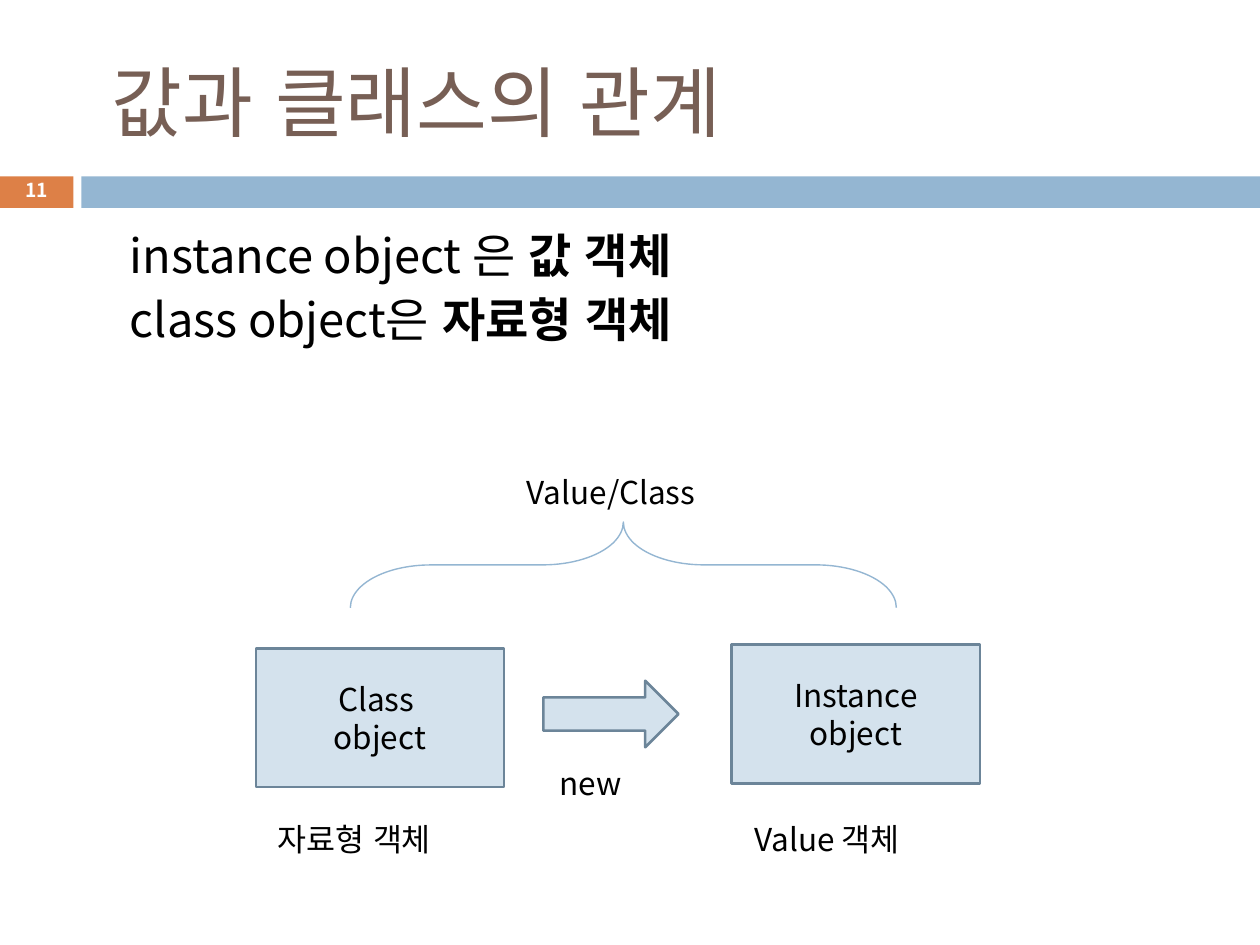
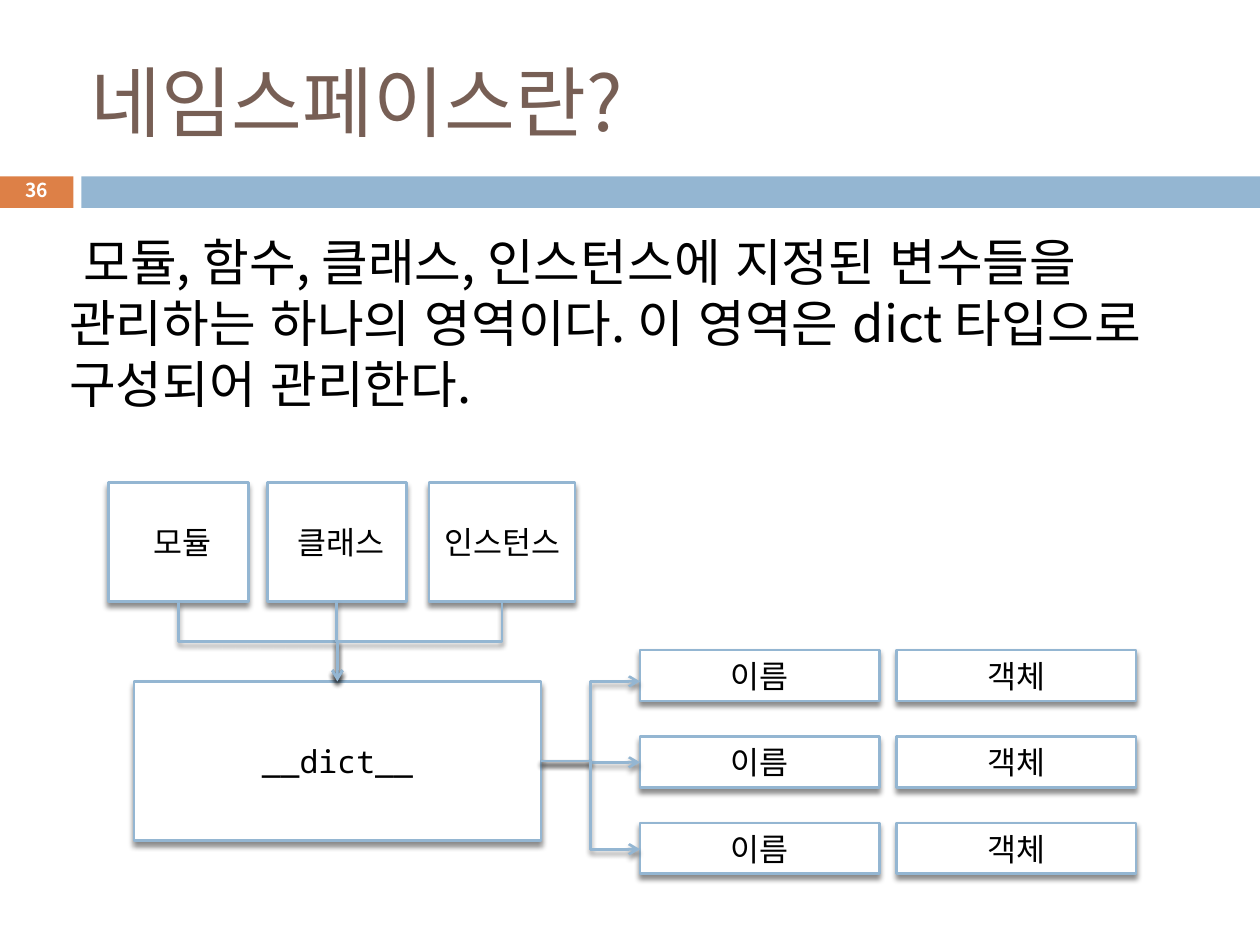
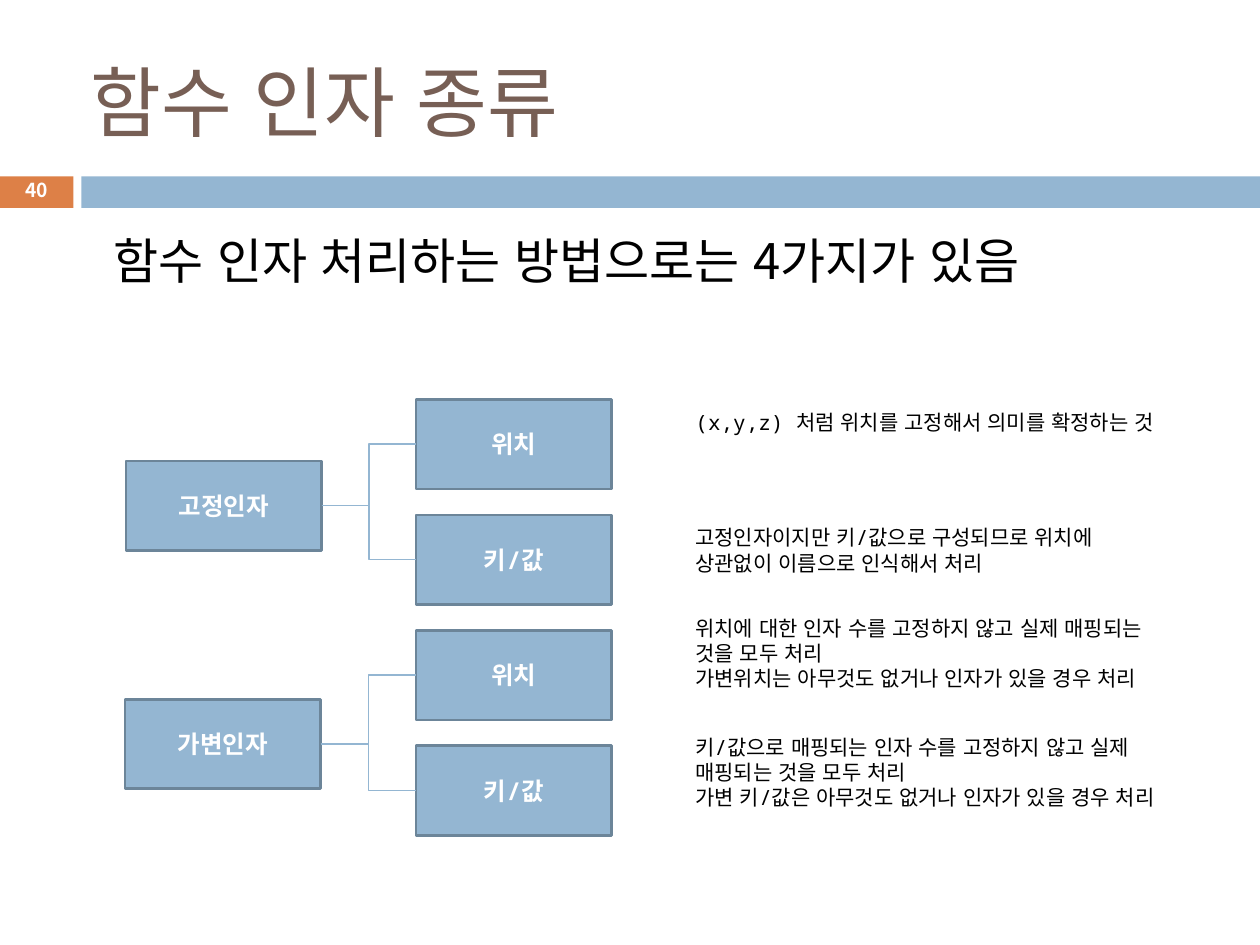
from lxml import etree
from pptx import Presentation
from pptx.dml import color
from pptx.enum import lang, shapes, text
from pptx.oxml import ns
from pptx.util import Pt

BLUE, ORANGE, BROWN = "94B6D2", "DD8047", "775F55"
PALE, EDGE, WHITE, BLACK = "D4E2ED", "6C8599", "FFFFFF", "000000"
SANS, MONO = "Noto Sans CJK KR", "Noto Sans Mono"
RECT = shapes.MSO_SHAPE.RECTANGLE
LEFT, MID = text.PP_ALIGN.LEFT, text.PP_ALIGN.CENTER
TOP, HALF = text.MSO_ANCHOR.TOP, text.MSO_ANCHOR.MIDDLE


def paint(target, code):
    target.rgb = color.RGBColor.from_string(code)


def sub(parent, tag, **attrs):
    return etree.SubElement(parent, ns.qn(tag), attrs)


def shade(effects):
    shadow = sub(effects, "a:outerShdw", blurRad="38100", dist="30480",
                 dir="5400000", rotWithShape="0")
    tint = sub(shadow, "a:srgbClr", val=BLACK)
    sub(tint, "a:alpha", val="45000")


def style(run, size, font, ink, bold):
    face = run.font
    face.size, face.name, face.bold = Pt(size), font, bold
    face.language_id = lang.MSO_LANGUAGE_ID.KOREAN
    paint(face.color, ink)


def write(shape, words, size, font=SANS, ink=BLACK, bold=False,
          align=LEFT, anchor=TOP, before=0, indent=0):
    frame = shape.text_frame
    frame.word_wrap = True
    frame.vertical_anchor = anchor
    frame.margin_left = frame.margin_right = Pt(3.6)
    frame.margin_top = frame.margin_bottom = Pt(3.6)
    frame.text = words
    for para in frame.paragraphs:
        para.alignment = align
        para.space_before = Pt(before)
        if indent:
            props = para._p.get_or_add_pPr()
            props.set("marL", str(Pt(indent)))
            props.set("indent", "0")
        for run in para.runs:
            style(run, size, font, ink, bold)
    return frame


def label(slide, at, words, size, **look):
    box = slide.shapes.add_textbox(*map(Pt, at))
    return write(box, words, size, **look)


def block(slide, at, fill, line=None, kind=RECT, shadow=False):
    shape = slide.shapes.add_shape(kind, *map(Pt, at))
    shape.shadow.inherit = False
    if fill:
        shape.fill.solid()
        paint(shape.fill.fore_color, fill)
    else:
        shape.fill.background()
    if line:
        paint(shape.line.color, line)
        shape.line.width = Pt(1.5)
    else:
        shape.line.fill.background()
    if shadow:
        shade(shape._element.spPr.find(ns.qn("a:effectLst")))
    return shape


def card(slide, at, words):
    shape = block(slide, at, WHITE, BLUE, shadow=True)
    write(shape, words, 18, font=MONO, align=MID, anchor=HALF)


def elbow(slide, x1, y1, x2, y2, width=1.5, arrow=True):
    link = slide.shapes.add_connector(
        shapes.MSO_CONNECTOR.ELBOW, Pt(x1), Pt(y1), Pt(x2), Pt(y2))
    paint(link.line.color, BLUE)
    link.line.width = Pt(width)
    props = link._element.spPr
    effects = sub(props, "a:effectLst")
    if arrow:
        sub(props.find(ns.qn("a:ln")), "a:tailEnd", type="arrow")
        shade(effects)
    return link


def drop(slide, x1, y1, x2, y2):
    mid_x, mid_y = (x1 + x2) / 2, (y1 + y2) / 2
    half_w, half_h = (y2 - y1) / 2, abs(x2 - x1) / 2
    right = x2 > x1
    if right:
        half_w = -half_w
    link = elbow(slide, mid_x - half_w, mid_y - half_h,
                 mid_x + half_w, mid_y + half_h)
    turn = 270 if right else 90
    link._element.spPr.find(ns.qn("a:xfrm")).set("rot", str(turn * 60000))


def start(deck, title, number):
    slide = deck.slides.add_slide(deck.slide_layouts[6])
    block(slide, (0, 100.8, 42, 18), ORANGE)
    block(slide, (46.5, 100.8, 673.5, 18), BLUE)
    label(slide, (48, 18.3, 642, 78), title, 44, ink=BROWN, anchor=HALF)
    frame = label(slide, (0, 99, 41.8, 21.6), number, 11, ink=WHITE,
                  bold=True, align=MID, anchor=HALF)
    frame.paragraphs[0].line_spacing = 0.8
    return slide


def relate(deck):
    slide = start(deck, " 값과 클래스의 관계", "11")
    frame = label(slide, (36, 126, 648, 87), "instance object 은 \nclass object은 ",
                  26.9, before=4, indent=34.6)
    for para, tail in zip(frame.paragraphs, ("값 객체", "자료형 객체")):
        run = para.add_run()
        run.text = tail
        style(run, 26.9, SANS, BLACK, True)
    for left, top, words in ((146.2, 370.4, "Class \nobject"),
                             (418.2, 368.2, "Instance\nobject")):
        box = block(slide, (left, top, 141.8, 79.4), PALE, EDGE)
        write(box, words, 18, align=MID, anchor=HALF)
    block(slide, (310.5, 389, 77.2, 38), PALE, EDGE, shapes.MSO_SHAPE.RIGHT_ARROW)
    brace = block(slide, (331.7, 166.8, 49, 312), None, BLUE,
                  shapes.MSO_SHAPE.LEFT_BRACE)
    brace.rotation = 90
    brace.adjustments[0] = 0.94
    brace.line.width = Pt(0.79)
    label(slide, (139, 465, 126.7, 29), "자료형 객체", 18, align=MID)
    label(slide, (427.4, 465, 123, 29), "Value 객체", 18)
    label(slide, (316, 433.2, 79, 29), "new", 18)
    label(slide, (284, 267, 130.4, 29), "Value/Class", 18, align=MID)


def spaces(deck):
    slide = start(deck, "네임스페이스란?", "36")
    label(slide, (36, 128.3, 648, 153.4),
          " 모듈, 함수, 클래스, 인스턴스에 지정된 변수들을 관리하는 하나의 영역이다. "
          "이 영역은 dict 타입으로 구성되어 관리한다.", 29, before=7)
    left, top, width, height = hub = (76.5, 389.4, 232.6, 91)
    card(slide, hub, "__dict__")
    for row in range(3):
        y = 371.5 + 49.4 * row
        for x, words in ((365.7, "이름"), (512.4, "객체")):
            card(slide, (x, y, 136.8, 29), words)
    for y in (389.4, 435.6, 485.3):
        elbow(slide, left + width, top + height / 2, 365.7, y)
    for x, wide, words in ((62, 80, " 모듈"), (152.7, 79.5, " 클래스"),
                           (245.1, 83.6, "인스턴스")):
        card(slide, (x, 275.8, wide, 67.9), words)
        drop(slide, x + wide / 2, 343.7, left + width / 2, top)


def params(deck):
    slide = start(deck, "함수 인자 종류", "40")
    label(slide, (36, 128.2, 648, 102), "함수 인자 처리하는 방법으로는 4가지가 있음",
          28, before=5, indent=25.2)
    wide, high = 111.8, 51.2

    def node(x, y, words):
        box = block(slide, (x, y, wide, high), BLUE, EDGE)
        write(box, words, 14, font=MONO, ink=WHITE, bold=True,
              align=MID, anchor=HALF)

    for pair, (x, y, words) in enumerate(((72, 263.4, "고정인자"),
                                          (71.4, 399.6, "가변인자"))):
        node(x, y, words)
        for item, kind in enumerate(("위치", "키/값")):
            child = 228.2 + 66 * (2 * pair + item)
            node(237.8, child, kind)
            elbow(slide, x + wide, y + high / 2, 237.8, child + high / 2,
                  width=0.79, arrow=False)
    notes = (
        (230.4, "(x,y,z) 처럼 위치를 고정해서 의미를 확정하는 것"),
        (296.4, "고정인자이지만 키/값으로 구성되므로 위치에 상관없이 이름으로 인식해서 처리"),
        (348, "위치에 대한 인자 수를 고정하지 않고 실제 매핑되는 것을 모두 처리\n"
              "가변위치는 아무것도 없거나 인자가 있을 경우 처리"),
        (416.2, "키/값으로 매핑되는 인자 수를 고정하지 않고 실제 매핑되는 것을 모두 처리\n"
                "가변 키/값은 아무것도 없거나 인자가 있을 경우 처리"),
    )
    for y, words in notes:
        label(slide, (393.8, y, 278, 54), words, 12, font=MONO)


def main():
    deck = Presentation()
    deck.slide_width, deck.slide_height = Pt(720), Pt(540)
    relate(deck)
    spaces(deck)
    params(deck)
    deck.save("out.pptx")


if __name__ == "__main__":
    main()
